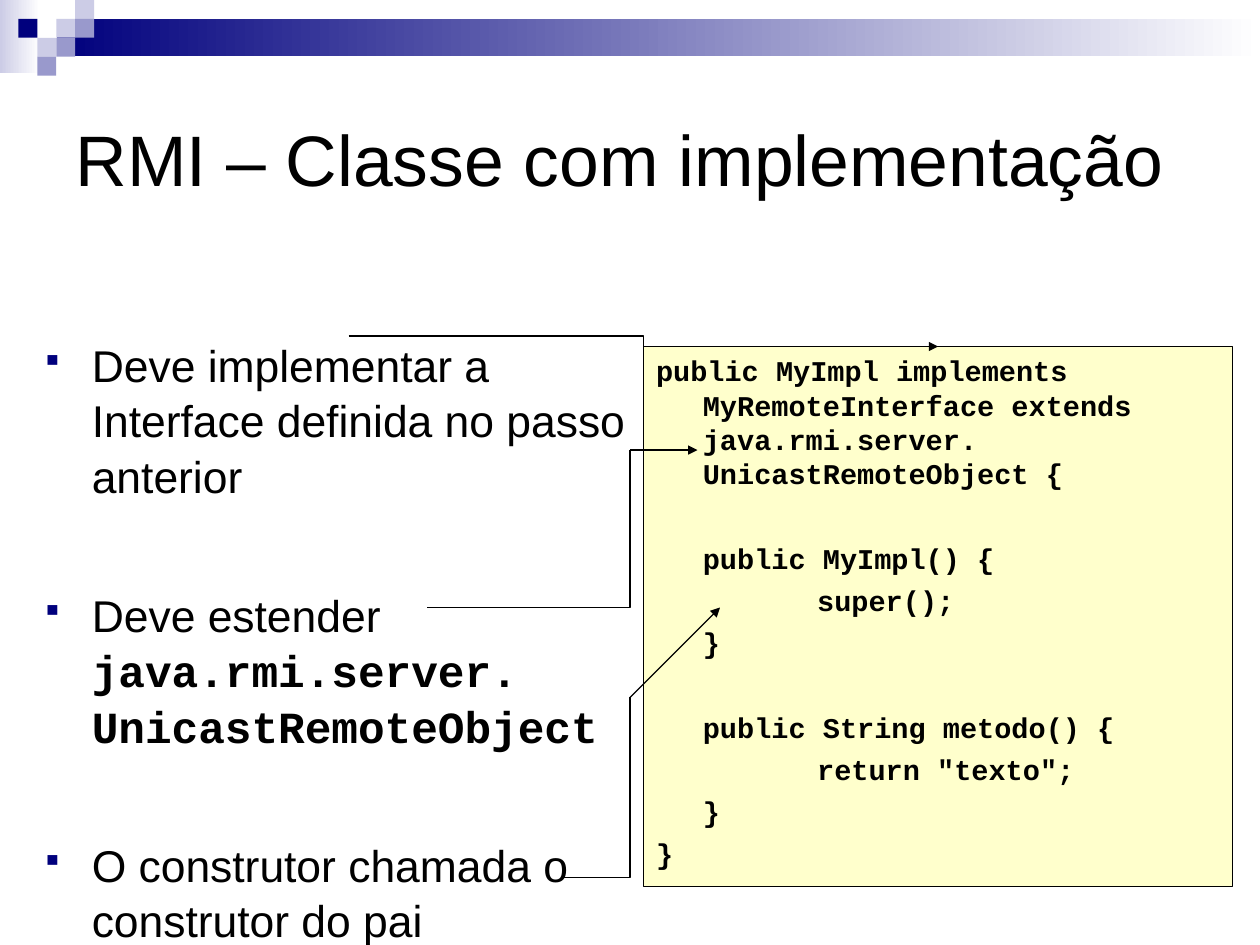
from lxml import etree
from pptx import Presentation
from pptx import util as u
from pptx.dml.color import RGBColor
from pptx.enum import shapes, text
from pptx.oxml import ns

WHITE = RGBColor(0xFF, 0xFF, 0xFF)
BLACK = RGBColor(0x00, 0x00, 0x00)
NAVY = RGBColor(0x00, 0x00, 0x7D)
LILAC = RGBColor(0xCC, 0xCC, 0xE6)
VIOLET = RGBColor(0x99, 0x99, 0xCC)
CREAM = RGBColor(0xFF, 0xFF, 0xCC)
SANS, MONO = "Arial", "Courier New"
COLUMNS, ROWS = 56, 42
TILE = 0.84
HANGING = 0.41


class SlideBuilder:
    """Draws styled elements on a slide measured in grid columns and rows."""

    def __init__(self, deck):
        self.page = deck.slides.add_slide(deck.slide_layouts[6])
        self.column = deck.slide_width / COLUMNS
        self.row = deck.slide_height / ROWS

    def place(self, across, down):
        return round(across * self.column), round(down * self.row)

    def rectangle(self, left, top, width, height, fill, fade=False, outline=None):
        box = self.page.shapes.add_shape(
            shapes.MSO_SHAPE.RECTANGLE, *self.place(left, top), *self.place(width, height))
        box.shadow.inherit = False
        if fade:
            box.fill.gradient()
            box.fill.gradient_angle = 0
            for stop, color in zip(box.fill.gradient_stops, (fill, WHITE)):
                stop.color.rgb = color
        else:
            box.fill.solid()
            box.fill.fore_color.rgb = fill
        if outline is None:
            box.line.fill.background()
        else:
            self.stroke(box, outline)
        return box

    def stroke(self, item, color=BLACK):
        item.line.color.rgb = color
        item.line.width = u.Pt(0.75)

    def textbox(self, left, top, width, height):
        return self.page.shapes.add_textbox(
            *self.place(left, top), *self.place(width, height))

    def frame(self, box, side, edge, anchor=text.MSO_ANCHOR.TOP):
        frame = box.text_frame
        frame.word_wrap = True
        frame.vertical_anchor = anchor
        frame.margin_left = frame.margin_right = u.Inches(side)
        frame.margin_top = frame.margin_bottom = u.Inches(edge)
        return frame

    def paragraph(self, frame, spans, size, before=0, stretch=1, margin=0, indent=0, bullet=False):
        first = not frame.paragraphs[0].runs
        para = frame.paragraphs[0] if first else frame.add_paragraph()
        props = para._p.get_or_add_pPr()
        props.set("marL", str(u.Inches(margin)))
        props.set("indent", str(u.Inches(indent)))
        if bullet:
            color = etree.SubElement(props, ns.qn("a:buClr"))
            etree.SubElement(color, ns.qn("a:srgbClr"), val=str(NAVY))
            etree.SubElement(props, ns.qn("a:buSzPct"), val="75000")
            etree.SubElement(props, ns.qn("a:buFont"), typeface="Wingdings", charset="2")
            etree.SubElement(props, ns.qn("a:buChar"), char="§")
        para.alignment = text.PP_ALIGN.LEFT
        para.line_spacing = u.Pt(1.2 * size * stretch)
        para.space_before = u.Pt(0 if first else before)
        for words, face, bold in spans:
            span = para.add_run()
            span.text = words
            span.font.name, span.font.bold = face, bold
            span.font.size = u.Pt(size)
            span.font.color.rgb = BLACK

    def arrow(self, start, end, kind=shapes.MSO_CONNECTOR.STRAIGHT):
        line = self.page.shapes.add_connector(kind, *self.place(*start), *self.place(*end))
        self.stroke(line)
        etree.SubElement(line.line._get_or_add_ln(), ns.qn("a:tailEnd"), type="triangle")
        etree.SubElement(line._element.spPr, ns.qn("a:effectLst"))

    def polyline(self, *points):
        start, *rest = [self.place(*point) for point in points]
        builder = self.page.shapes.build_freeform(*start)
        builder.add_line_segments(rest, close=False)
        line = builder.convert_to_shape()
        line.shadow.inherit = False
        line.fill.background()
        self.stroke(line)


def draw_banner(slide):
    slide.rectangle(0, 0, 1.78, 3.25, LILAC, fade=True)
    slide.rectangle(3 * TILE, TILE, COLUMNS - 3 * TILE, 1.65, NAVY, fade=True)
    tiles = ((3, 1, LILAC), (4, 0, LILAC), (4, 1, VIOLET), (2, 2, LILAC),
             (1, 1, NAVY), (3, 2, VIOLET), (2, 3, VIOLET))
    for across, down, color in tiles:
        slide.rectangle((across - 0.02) * TILE, down * TILE, TILE, TILE, color)


def draw_rules(slide):
    frame = slide.frame(slide.textbox(2, 14.93, 27, 27.1), 0, 0)
    rules = (
        [("Deve implementar a Interface definida no passo anterior", SANS, False)],
        [("Deve estender ", SANS, False),
         ("java.rmi.server. UnicastRemoteObject", MONO, True)],
        [("O construtor chamada o construtor do pai", SANS, False)],
    )
    for spans in rules:
        slide.paragraph(frame, spans, 28, before=52.5, stretch=1.04,
                        margin=HANGING, indent=-HANGING, bullet=True)


def draw_code(slide):
    box = slide.rectangle(28.6, 15.4, 26.2, 24, CREAM, outline=BLACK)
    frame = slide.frame(box, 0.11, 0.06)
    close, gap = 5, 31.6
    lines = (
        ("public MyImpl implements MyRemoteInterface extends "
         "java.rmi.server. UnicastRemoteObject {", HANGING, -HANGING, close),
        ("public MyImpl() {", HANGING, 0, gap),
        ("super();", HANGING + 1, 0, close),
        ("}", HANGING, 0, close),
        ("public String metodo() {", HANGING, 0, gap),
        ('return "texto";', HANGING + 1, 0, close),
        ("}", HANGING, 0, close),
        ("}", 0, 0, close),
    )
    for words, margin, indent, before in lines:
        slide.paragraph(frame, [(words, MONO, True)], 18, before=before,
                        margin=margin, indent=indent)


def draw_links(slide):
    slide.arrow((15.5, 14.93), (41.7, 15.4), shapes.MSO_CONNECTOR.ELBOW)
    slide.polyline((19, 27), (28, 27), (28, 20))
    slide.arrow((28, 20), (31, 20))
    slide.polyline((25, 39), (28, 39), (28, 31))
    slide.arrow((28, 31), (32, 27))


def draw_title(slide):
    box = slide.textbox(2.8, 2.8, 50.4, 8.4)
    frame = slide.frame(box, 0.11, 0.06, text.MSO_ANCHOR.MIDDLE)
    slide.paragraph(frame, [("RMI – Classe com implementação", SANS, False)], 45)


def main():
    deck = Presentation()
    deck.slide_width, deck.slide_height = u.Cm(28), u.Cm(21)
    slide = SlideBuilder(deck)
    for draw in (draw_banner, draw_rules, draw_code, draw_links, draw_title):
        draw(slide)
    deck.save("out.pptx")


if __name__ == "__main__":
    main()
